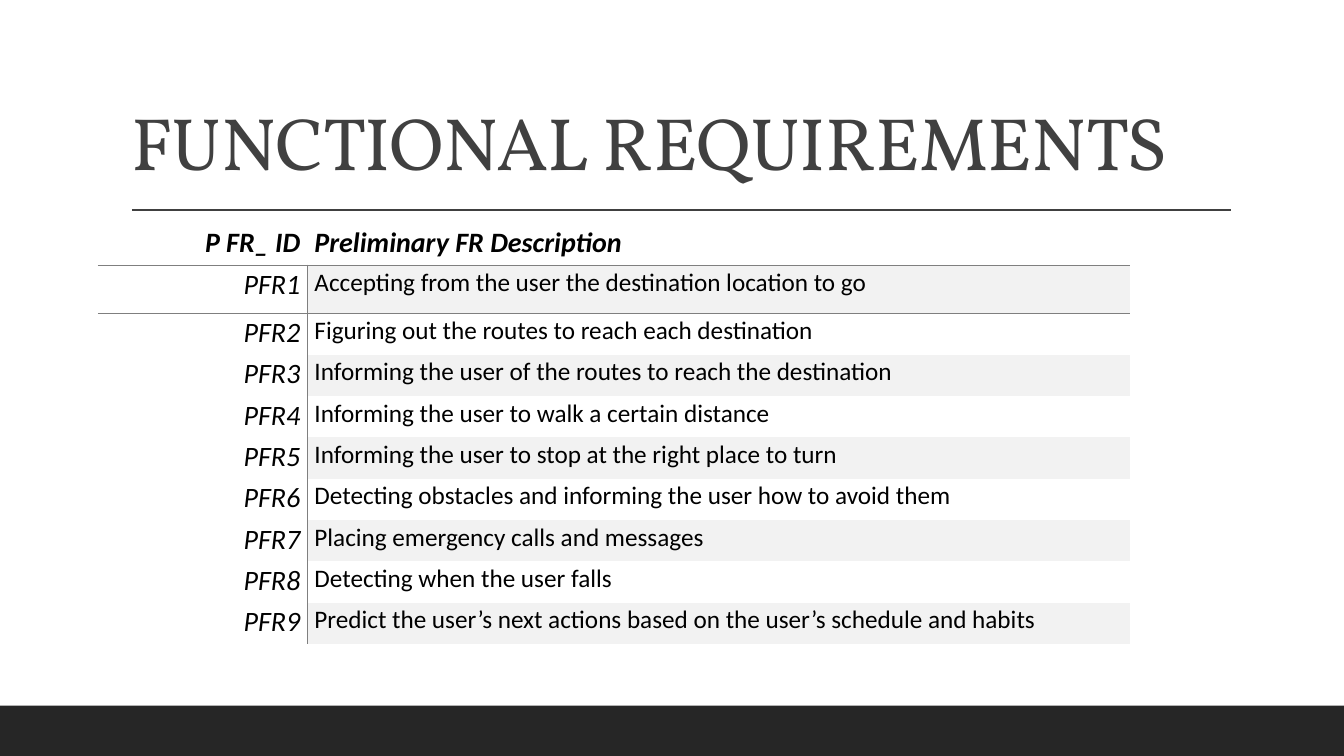
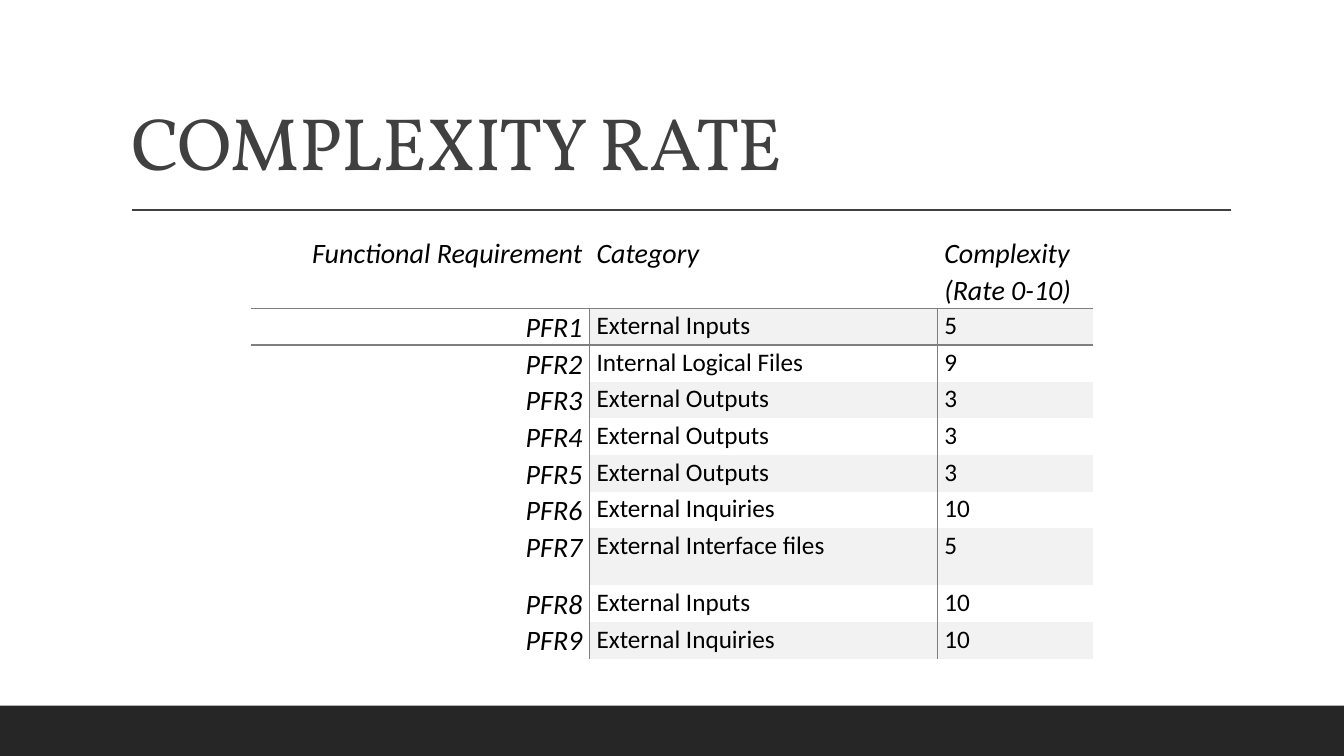
from dataclasses import dataclass

from lxml import etree
from pptx import Presentation
from pptx import util as u
from pptx.dml.color import RGBColor
from pptx.enum import shapes, text
from pptx.oxml.ns import qn


@dataclass(frozen=True)
class Theme:
    title_font: str = "Vollkorn"
    body_font: str = "Calibri"
    title_size: float = 53
    label_size: float = 20
    body_size: float = 18
    title_color: str = "404040"
    text_color: str = "000000"
    band_color: str = "262626"
    border_color: str = "7F7F7F"
    plain_fill: str = "FFFFFF"
    stripe_fill: str = "F2F2F2"
    table_style: str = "{2D5ABB26-0587-4C30-8999-92F81FD0307C}"


def write(frame, words, font, size, color, bold=False, italic=False,
          align=text.PP_ALIGN.LEFT, spacing=1.0, tracking=None):
    para = frame.paragraphs[0]
    para.alignment = align
    para.line_spacing = spacing
    span = para.add_run()
    span.text = words
    span.font.name = font
    span.font.size = u.Pt(size)
    span.font.bold = bold
    span.font.italic = italic
    span.font.color.rgb = RGBColor.from_string(color)
    if tracking is not None:
        span.font._element.set("spc", str(int(tracking * 100)))


class SlideBuilder:
    COLUMNS, ROWS = 160, 90

    def __init__(self, deck, theme):
        self.deck = deck
        self.theme = theme
        self.page = None

    def across(self, columns):
        return u.Emu(round(self.deck.slide_width * columns / self.COLUMNS))

    def down(self, rows):
        return u.Emu(round(self.deck.slide_height * rows / self.ROWS))

    def area(self, left, top, width, height):
        return self.across(left), self.down(top), self.across(width), self.down(height)

    def start(self, heading):
        self.page = self.deck.slides.add_slide(self.deck.slide_layouts.get_by_name("Title Only"))
        self.band()
        self.rule()
        self.title(heading)

    def band(self):
        box = self.page.shapes.add_shape(shapes.MSO_SHAPE.RECTANGLE, *self.area(0, 84, 160, 6))
        box.shadow.inherit = False
        box.fill.solid()
        box.fill.fore_color.rgb = RGBColor.from_string(self.theme.band_color)
        box.line.fill.background()

    def rule(self):
        left, right, top = self.across(15.7), self.across(146.5), self.down(25)
        line = self.page.shapes.add_connector(shapes.MSO_CONNECTOR.STRAIGHT, left, top, right, top)
        line.line.width = u.Pt(1)
        line.line.color.rgb = RGBColor.from_string(self.theme.title_color)
        etree.SubElement(line._element.spPr, qn("a:effectLst"))

    def title(self, heading):
        box = self.page.shapes.title
        box.left, box.top, box.width, box.height = self.area(14.4, 3.7, 132, 19.1)
        frame = box.text_frame
        frame.word_wrap = True
        frame.auto_size = text.MSO_AUTO_SIZE.NONE
        frame.vertical_anchor = text.MSO_ANCHOR.BOTTOM
        write(frame, heading, self.theme.title_font, self.theme.title_size,
              self.theme.title_color, spacing=0.9, tracking=-0.5)

    def table(self, left, top, widths, heights, records, bold_header=False):
        frame = self.page.shapes.add_table(
            len(records), len(widths), *self.area(left, top, sum(widths), sum(heights)))
        table = frame.table
        table._tbl.tblPr.find(qn("a:tableStyleId")).text = self.theme.table_style
        for column, width in zip(table.columns, widths):
            column.width = self.across(width)
        for row, height in zip(table.rows, heights):
            row.height = self.down(height)
        for row, record in enumerate(records):
            for column, words in enumerate(record):
                self.cell(table.cell(row, column), row, column, words, bold_header)

    def cell(self, cell, row, column, words, bold_header):
        theme = self.theme
        header, label = row == 0, column == 0
        cell.margin_left = cell.margin_right = u.Inches(0.07)
        cell.margin_top = cell.margin_bottom = 0
        sides = {"lnL": column == 1 and not header, "lnR": label and not header,
                 "lnT": row == 1, "lnB": header}
        for side, drawn in sides.items():
            if drawn:
                self.border(cell, side)
        striped = row % 2 == 1 and not label
        cell.fill.solid()
        cell.fill.fore_color.rgb = RGBColor.from_string(
            theme.stripe_fill if striped else theme.plain_fill)
        write(cell.text_frame, words, theme.body_font,
              theme.label_size if header or label else theme.body_size, theme.text_color,
              bold=header and bold_header, italic=header or label,
              align=text.PP_ALIGN.RIGHT if label else text.PP_ALIGN.LEFT, spacing=1.07)

    def border(self, cell, side):
        properties = cell._tc.get_or_add_tcPr()
        line = etree.SubElement(properties, qn(f"a:{side}"), w=str(u.Pt(1)))
        fill = etree.SubElement(line, qn("a:solidFill"))
        etree.SubElement(fill, qn("a:srgbClr"), val=self.theme.border_color)


def numbered(rows):
    return [(f"PFR{number}", *row) for number, row in enumerate(rows, 1)]


REQUIREMENTS = [
    ("Accepting from the user the destination location to go",),
    ("Figuring out the routes to reach each destination",),
    ("Informing the user of the routes to reach the destination",),
    ("Informing the user to walk a certain distance",),
    ("Informing the user to stop at the right place to turn",),
    ("Detecting obstacles and informing the user how to avoid them",),
    ("Placing emergency calls and messages",),
    ("Detecting when the user falls",),
    ("Predict the user’s next actions based on the user’s schedule and habits",),
]

RATES = [
    ("External Inputs", "5"),
    ("Internal Logical Files", "9"),
    ("External Outputs", "3"),
    ("External Outputs", "3"),
    ("External Outputs", "3"),
    ("External Inquiries", "10"),
    ("External Interface files", "5"),
    ("External Inputs", "10"),
    ("External Inquiries", "10"),
]

deck = Presentation()
deck.slide_width, deck.slide_height = u.Inches(40 / 3), u.Inches(7.5)
builder = SlideBuilder(deck, Theme())

builder.start("FUNCTIONAL REQUIREMENTS")
builder.table(11.64, 26.64, [24.96, 97.92], [4.92, 5.76] + [4.92] * 8,
              [("P FR_ ID", "Preliminary FR Description")] + numbered(REQUIREMENTS),
              bold_header=True)

builder.start("COMPLEXITY RATE")
builder.table(29.88, 27.96, [40.3, 41.4, 18.5], [8.7] + [4.37] * 6 + [6.75] + [4.37] * 2,
              [("Functional Requirement", "Category", "Complexity (Rate 0-10)")] + numbered(RATES))

deck.save("out.pptx")
